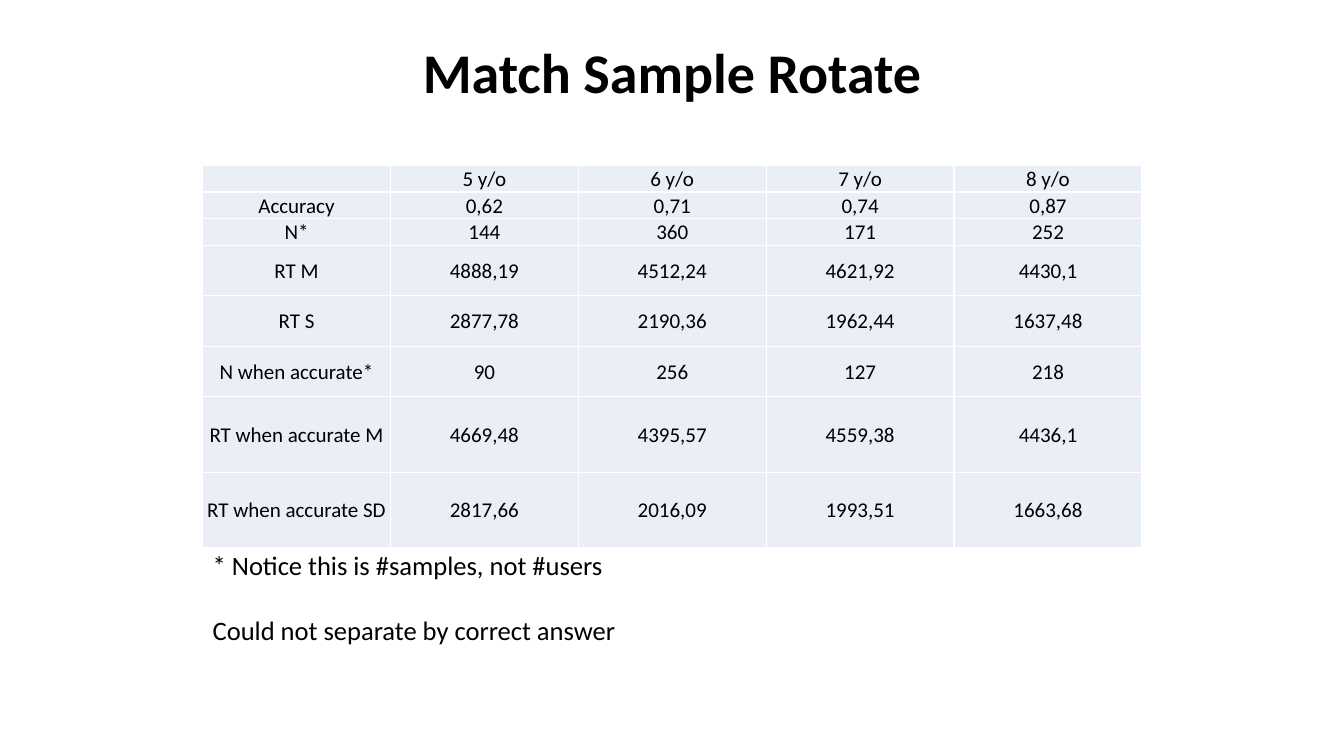
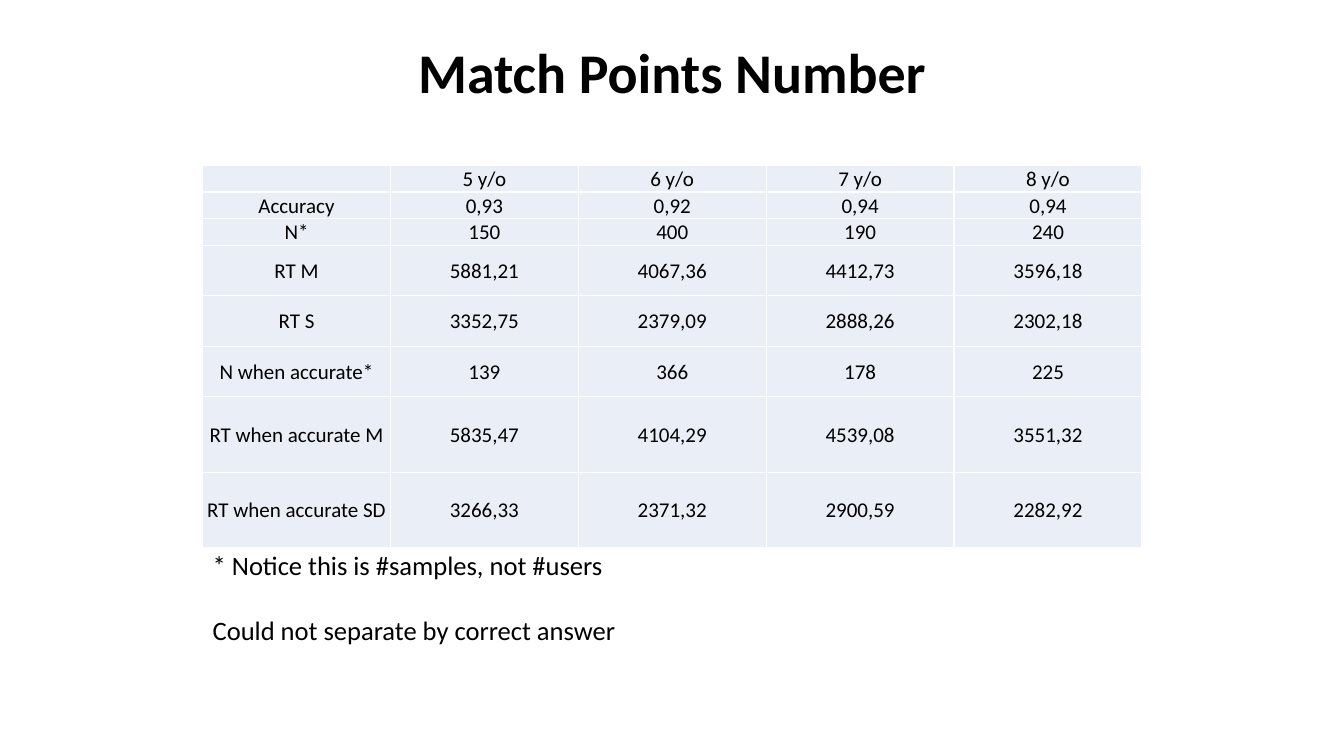
from lxml import etree
from pptx import Presentation
from pptx.dml.color import RGBColor
from pptx.enum import text
from pptx.oxml import ns
from pptx.util import Pt

FONT = "Calibri"
BLACK = RGBColor(0x00, 0x00, 0x00)
WHITE = RGBColor(0xFF, 0xFF, 0xFF)
PALE_BLUE = RGBColor(0xEA, 0xEF, 0xF7)

LEFT = 144.7
TABLE_TOP = 118.1
COLUMN_WIDTH = 134.2
ROW_HEIGHTS = [19] * 3 + [36] * 3 + [54] * 2
CELL_SIZE = 15

AGES = ["", "5 y/o", "6 y/o", "7 y/o", "8 y/o"]
MEASURES = ["Accuracy", "N*", "RT M", "RT S", "N when accurate*",
            "RT when accurate M", "RT when accurate SD"]
NOTES = [("* Notice this is #samples, not #users", 0.9, 0),
         ("Could not separate by correct answer", 1.6, 10)]

RESULTS = {
    "Match Sample Rotate": [
        ["0,62", "0,71", "0,74", "0,87"],
        ["144", "360", "171", "252"],
        ["4888,19", "4512,24", "4621,92", "4430,1"],
        ["2877,78", "2190,36", "1962,44", "1637,48"],
        ["90", "256", "127", "218"],
        ["4669,48", "4395,57", "4559,38", "4436,1"],
        ["2817,66", "2016,09", "1993,51", "1663,68"],
    ],
    "Match Points Number": [
        ["0,93", "0,92", "0,94", "0,94"],
        ["150", "400", "190", "240"],
        ["5881,21", "4067,36", "4412,73", "3596,18"],
        ["3352,75", "2379,09", "2888,26", "2302,18"],
        ["139", "366", "178", "225"],
        ["5835,47", "4104,29", "4539,08", "3551,32"],
        ["3266,33", "2371,32", "2900,59", "2282,92"],
    ],
}


def place(shape, left, top, width, height):
    shape.left, shape.top = Pt(left), Pt(top)
    shape.width, shape.height = Pt(width), Pt(height)


def format_runs(paragraph, size, bold=False):
    for run in paragraph.runs:
        run.font.name = FONT
        run.font.size = Pt(size)
        run.font.bold = bold
        run.font.color.rgb = BLACK


def set_title(slide, wording):
    title = slide.shapes.title
    place(title, 240, 23, 480, 55.4)
    frame = title.text_frame
    frame.text = wording
    frame.auto_size = text.MSO_AUTO_SIZE.NONE
    frame.vertical_anchor = text.MSO_ANCHOR.TOP
    paragraph = frame.paragraphs[0]
    paragraph.alignment = text.PP_ALIGN.CENTER
    format_runs(paragraph, 40, bold=True)


def set_notes(slide):
    """Fill the body placeholder with the unbulleted remarks below the table."""
    body = slide.placeholders[1]
    place(body, LEFT, 391, 441.4, 84.2)
    frame = body.text_frame
    frame.text = "\n".join(wording for wording, _, _ in NOTES)
    frame.auto_size = text.MSO_AUTO_SIZE.NONE
    frame.vertical_anchor = text.MSO_ANCHOR.TOP
    for paragraph, (_, line_spacing, space_before) in zip(frame.paragraphs, NOTES):
        properties = paragraph._p.get_or_add_pPr()
        properties.set("marL", "0")
        properties.set("indent", "0")
        etree.SubElement(properties, ns.qn("a:buNone"))
        paragraph.line_spacing = line_spacing
        paragraph.space_before = Pt(space_before)
        format_runs(paragraph, 19)


def set_borders(cell, color, width):
    properties = cell._tc.get_or_add_tcPr()
    for side in ("a:lnL", "a:lnR", "a:lnT", "a:lnB"):
        line = etree.SubElement(properties, ns.qn(side), w=str(Pt(width)))
        fill = etree.SubElement(line, ns.qn("a:solidFill"))
        etree.SubElement(fill, ns.qn("a:srgbClr"), val=str(color))


def fill_cell(cell, wording):
    set_borders(cell, WHITE, 1)
    cell.fill.solid()
    cell.fill.fore_color.rgb = PALE_BLUE
    cell.margin_left = cell.margin_right = cell.margin_top = Pt(0.7)
    cell.margin_bottom = Pt(0)
    cell.vertical_anchor = text.MSO_ANCHOR.MIDDLE
    cell.text_frame.text = wording
    paragraph = cell.text_frame.paragraphs[0]
    paragraph.alignment = text.PP_ALIGN.CENTER
    format_runs(paragraph, CELL_SIZE)
    if not wording:  # keeps the empty cell from stretching its row
        paragraph._p.get_or_add_endParaRPr().set("sz", str(CELL_SIZE * 100))


def add_results_table(slide, results):
    rows = [AGES] + [[measure] + values for measure, values in zip(MEASURES, results)]
    table = slide.shapes.add_table(
        len(rows), len(AGES), Pt(LEFT), Pt(TABLE_TOP),
        Pt(COLUMN_WIDTH * len(AGES)), Pt(sum(ROW_HEIGHTS))).table
    table.first_row = table.horz_banding = False
    for column in table.columns:
        column.width = Pt(COLUMN_WIDTH)
    for row, height, wordings in zip(table.rows, ROW_HEIGHTS, rows):
        row.height = Pt(height)
        for cell, wording in zip(row.cells, wordings):
            fill_cell(cell, wording)


def main():
    presentation = Presentation()
    presentation.slide_width, presentation.slide_height = Pt(960), Pt(540)
    for title, results in RESULTS.items():
        slide = presentation.slides.add_slide(presentation.slide_layouts[1])
        set_title(slide, title)
        set_notes(slide)
        add_results_table(slide, results)
    presentation.save("out.pptx")


if __name__ == "__main__":
    main()
